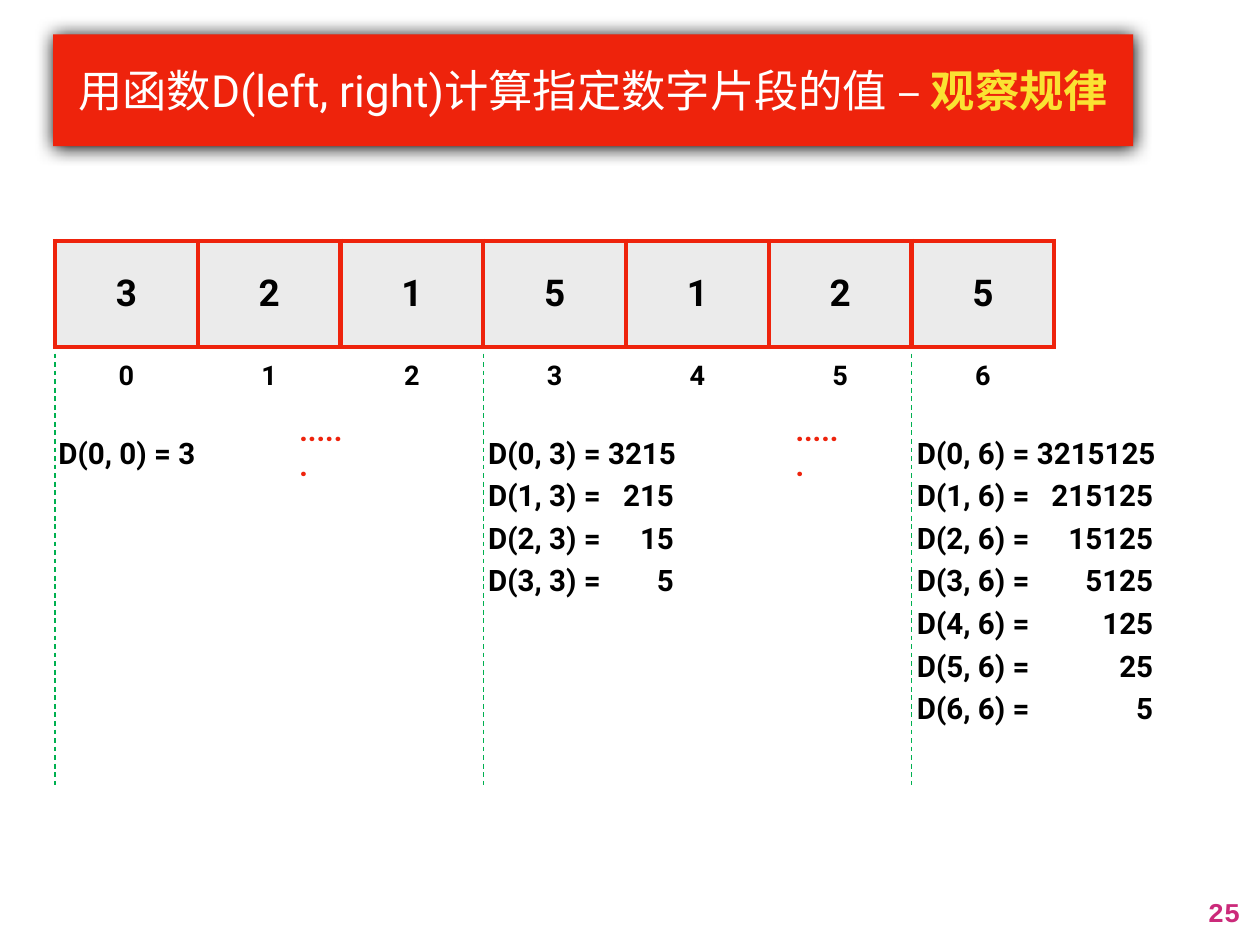
from dataclasses import dataclass

from lxml import etree
from pptx import Presentation
from pptx import util as u
from pptx.dml.color import RGBColor
from pptx.enum import dml, shapes, text
from pptx.oxml import ns

Pt = u.Pt
ALIGN = text.PP_ALIGN
ANCHOR = text.MSO_ANCHOR


@dataclass(frozen=True)
class Theme:
    red: str = "EE230C"
    yellow: str = "FAE232"
    white: str = "FFFFFF"
    black: str = "000000"
    cell: str = "EBEBEB"
    green: str = "00B050"
    pink: str = "CB2A7A"
    font: str = "Roboto"
    number_font: str = "Courier New"
    title_size: int = 36
    digit_size: int = 30
    body_size: int = 24
    small_size: int = 22


@dataclass(frozen=True)
class Box:
    left: float
    top: float
    width: float
    height: float

    def lengths(self) -> tuple:
        return tuple(Pt(v) for v in (self.left, self.top, self.width, self.height))


@dataclass(frozen=True)
class Group:
    right: int
    left: float
    width: float
    tab: float


T = Theme()
DIGITS = "3215125"
TABLE = Box(44.8, 196, 116 * len(DIGITS), 134)
ROW_HEIGHTS = (86, 48)
GROUPS = (Group(0, 43.2, 122.4, 110), Group(3, 392.4, 168.5, 151), Group(6, 740.9, 208.8, 192))
DOTS = (Box(239, 345.6, 49, 36), Box(642.2, 345.6, 49, 36))
GUIDE_TOP, GUIDE_BOTTOM = 287.3, 638


def rgb(color: str) -> RGBColor:
    return RGBColor.from_string(color)


def add_run(p, words: str, size: float, color: str, bold: bool = True, font: str = T.font) -> None:
    r = p.add_run()
    r.text = words
    r.font.size = Pt(size)
    r.font.name = font
    r.font.bold = bold
    r.font.color.rgb = rgb(color)


def set_frame(tf, margin: float, anchor, wrap: bool = True) -> None:
    tf.margin_left = tf.margin_right = tf.margin_top = tf.margin_bottom = Pt(margin)
    tf.vertical_anchor = anchor
    tf.word_wrap = wrap


def add_box(s, box: Box, margin: float = 4.3, anchor=ANCHOR.TOP, wrap: bool = True):
    tf = s.shapes.add_textbox(*box.lengths()).text_frame
    set_frame(tf, margin, anchor, wrap)
    return tf


def add_title(s) -> None:
    sp = s.shapes.add_shape(shapes.MSO_SHAPE.RECTANGLE, *Box(43.2, 28, 877.7, 90.7).lengths())
    sp.fill.solid()
    sp.fill.fore_color.rgb = rgb(T.red)
    sp.line.fill.background()
    sp.shadow.inherit = False
    effects = sp._element.spPr.find(ns.qn("a:effectLst"))
    shadow = etree.SubElement(effects, ns.qn("a:outerShdw"), blurRad=str(Pt(15)),
                              dist=str(Pt(0.7)), dir="5400000", rotWithShape="0")
    etree.SubElement(shadow, ns.qn("a:srgbClr"), val=T.black)
    set_frame(sp.text_frame, 5, ANCHOR.MIDDLE)
    p = sp.text_frame.paragraphs[0]
    p.alignment = ALIGN.CENTER
    add_run(p, "用函数D(left, right)计算指定数字片段的值 – ", T.title_size, T.white, False)
    add_run(p, "观察规律", T.title_size, T.yellow)


def set_borders(cell, sides: str) -> None:
    props = cell._tc.get_or_add_tcPr()
    for side in "LRTB":
        line = etree.SubElement(props, ns.qn(f"a:ln{side}"), w=str(Pt(4)))
        if side in sides:
            fill = etree.SubElement(line, ns.qn("a:solidFill"))
            etree.SubElement(fill, ns.qn("a:srgbClr"), val=T.red)
        else:
            etree.SubElement(line, ns.qn("a:noFill"))


def fill_cell(cell, words: str, size: float, sides: str, color: str | None) -> None:
    cell.margin_left = cell.margin_right = cell.margin_top = cell.margin_bottom = Pt(4.3)
    cell.vertical_anchor = ANCHOR.MIDDLE
    set_borders(cell, sides)
    if color:
        cell.fill.solid()
        cell.fill.fore_color.rgb = rgb(color)
    else:
        cell.fill.background()
    p = cell.text_frame.paragraphs[0]
    p.alignment = ALIGN.CENTER
    add_run(p, words, size, T.black)


def add_digits(s) -> None:
    table = s.shapes.add_table(2, len(DIGITS), *TABLE.lengths()).table
    table.first_row = table.horz_banding = False
    for row, height in zip(table.rows, ROW_HEIGHTS):
        row.height = Pt(height)
    for i, digit in enumerate(DIGITS):
        table.columns[i].width = Pt(TABLE.width / len(DIGITS))
        fill_cell(table.cell(0, i), digit, T.digit_size, "LRTB", T.cell)
        fill_cell(table.cell(1, i), str(i), T.small_size, "T", None)


def add_group(s, group: Group) -> None:
    count = group.right + 1
    tf = add_box(s, Box(group.left, 343.4, group.width, 8.6 + 34.6 * count))
    for i in range(count):
        p = tf.paragraphs[0] if i == 0 else tf.add_paragraph()
        p.line_spacing = 1.2
        gap = " "
        if i:
            tabs = etree.SubElement(p._p.get_or_add_pPr(), ns.qn("a:tabLst"))
            etree.SubElement(tabs, ns.qn("a:tab"), pos=str(Pt(group.tab)), algn="r")
            gap = "\t"
        add_run(p, f"D({i}, {group.right}) ={gap}{DIGITS[i:count]}", T.body_size, T.black)


def add_guide(s, group: Group) -> None:
    x = Pt(TABLE.left + group.right * TABLE.width / len(DIGITS))
    line = s.shapes.add_connector(shapes.MSO_CONNECTOR.STRAIGHT, x, Pt(GUIDE_TOP), x, Pt(GUIDE_BOTTOM))
    line.line.color.rgb = rgb(T.green)
    line.line.width = Pt(1)
    line.line.dash_style = dml.MSO_LINE.DASH
    etree.SubElement(line._element.spPr, ns.qn("a:effectLst"))


def main() -> None:
    prs = Presentation()
    prs.slide_width, prs.slide_height = Pt(1024), Pt(768)
    s = prs.slides.add_slide(prs.slide_layouts[6])
    add_title(s)
    add_digits(s)
    for group in GROUPS:
        add_group(s, group)
    for box in DOTS:
        tf = add_box(s, box, anchor=ANCHOR.MIDDLE)
        add_run(tf.paragraphs[0], "......", T.body_size, T.red)
    for group in GROUPS:
        add_guide(s, group)
    p = add_box(s, Box(975.6, 722.9, 37.4, 36), margin=5, wrap=False).paragraphs[0]
    p.alignment = ALIGN.RIGHT
    add_run(p, "25", T.small_size, T.pink, font=T.number_font)
    prs.save("out.pptx")


if __name__ == "__main__":
    main()
